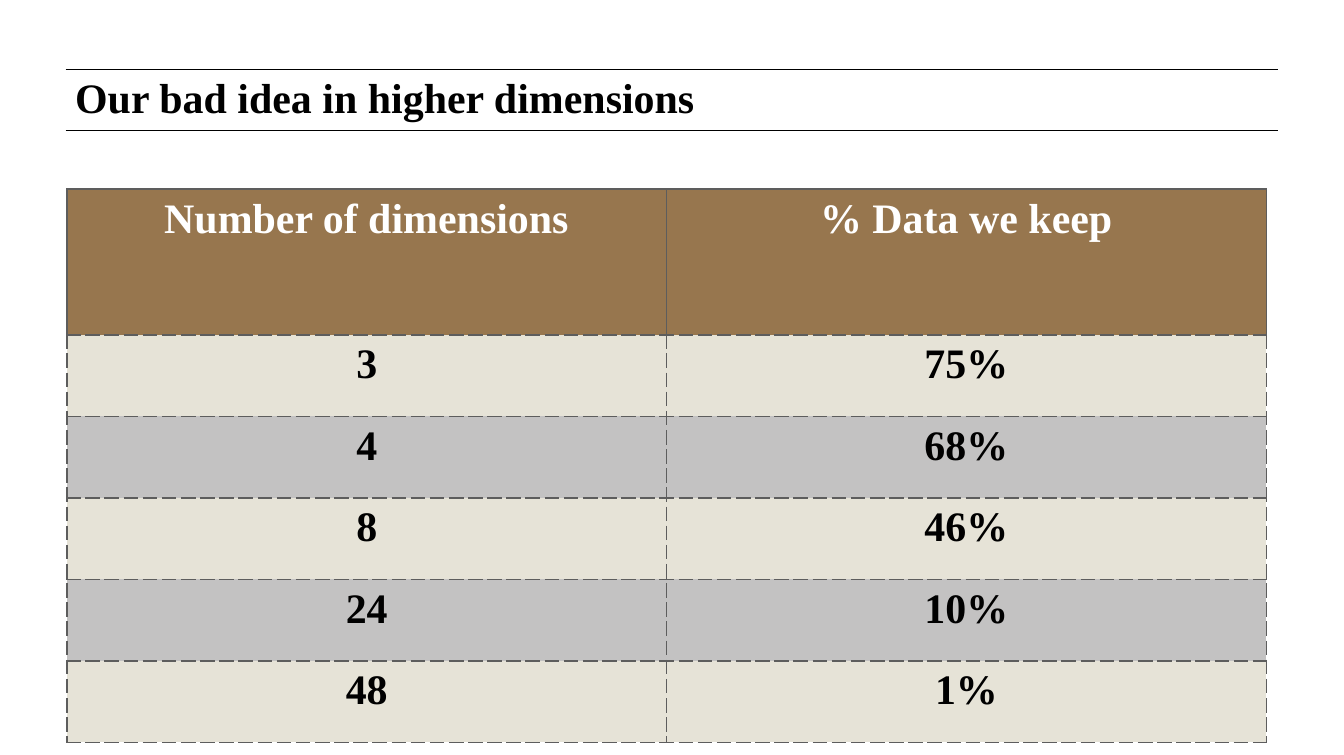
import lxml.etree
import pptx
import pptx.dml.color
import pptx.enum.shapes
import pptx.enum.text
import pptx.oxml.ns
import pptx.util

Pt = pptx.util.Pt
RGBColor = pptx.dml.color.RGBColor
qn = pptx.oxml.ns.qn

BLACK = RGBColor(0x00, 0x00, 0x00)
WHITE = RGBColor(0xFF, 0xFF, 0xFF)
BROWN = RGBColor(0x97, 0x76, 0x4E)
CREAM = RGBColor(0xE6, 0xE3, 0xD7)
GREY = RGBColor(0xC3, 0xC2, 0xC2)
BORDER = RGBColor(0x5D, 0x5D, 0x5D)
FONT = "Times New Roman"
TEXT_SIZE = 23

ROWS = [
    ("Number of dimensions", "% Data we keep"),
    ("3", "75%"),
    ("4", "68%"),
    ("8", "46%"),
    ("24", "10%"),
    ("48", "1%"),
]


def format_text(paragraph, color, alignment):
    paragraph.alignment = alignment
    for run in paragraph.runs:
        run.font.name = FONT
        run.font.size = Pt(TEXT_SIZE)
        run.font.bold = True
        run.font.color.rgb = color


def add_rule(slide, left, top, width):
    rule = slide.shapes.add_connector(
        pptx.enum.shapes.MSO_CONNECTOR.STRAIGHT,
        Pt(left), Pt(top), Pt(left + width), Pt(top))
    rule.line.color.rgb = BLACK
    rule.line.width = Pt(0.5)
    lxml.etree.SubElement(rule._element.spPr, qn("a:effectLst"))


def add_title(slide, left, top, width, height):
    for rule_top in (top, top + height):
        add_rule(slide, left, rule_top, width)
    title = slide.shapes.title
    title.left, title.top = Pt(left + 0.7), Pt(top + 1.4)
    title.width, title.height = Pt(620), Pt(37.4)
    text_frame = title.text_frame
    text_frame.text = "Our bad idea in higher dimensions"
    text_frame.word_wrap = True
    text_frame.auto_size = pptx.enum.text.MSO_AUTO_SIZE.NONE
    text_frame.vertical_anchor = pptx.enum.text.MSO_ANCHOR.TOP
    text_frame.margin_left = text_frame.margin_right = Pt(4.5)
    text_frame.margin_top = text_frame.margin_bottom = Pt(4.5)
    paragraph = text_frame.paragraphs[0]
    paragraph.line_spacing = Pt(TEXT_SIZE)
    format_text(paragraph, BLACK, pptx.enum.text.PP_ALIGN.LEFT)


def set_borders(cell, dashes):
    properties = cell._tc.get_or_add_tcPr()
    for position, (side, dash) in enumerate(dashes.items()):
        line = lxml.etree.Element(qn("a:ln" + side), w=str(Pt(1)))
        fill = lxml.etree.SubElement(line, qn("a:solidFill"))
        lxml.etree.SubElement(fill, qn("a:srgbClr"), val=str(BORDER))
        lxml.etree.SubElement(line, qn("a:prstDash"), val=dash)
        properties.insert(position, line)


def add_data_table(slide, left, top, width, header_height, row_height):
    height = header_height + row_height * (len(ROWS) - 1)
    table = slide.shapes.add_table(
        len(ROWS), len(ROWS[0]), Pt(left), Pt(top), Pt(width), Pt(height)).table
    for row_index, values in enumerate(ROWS):
        is_header = row_index == 0
        table.rows[row_index].height = Pt(header_height if is_header else row_height)
        fill_color = BROWN if is_header else (GREY, CREAM)[row_index % 2]
        side_dash = "solid" if is_header else "lgDash"
        for column_index, value in enumerate(values):
            cell = table.cell(row_index, column_index)
            cell.text_frame.text = value
            cell.fill.solid()
            cell.fill.fore_color.rgb = fill_color
            format_text(cell.text_frame.paragraphs[0],
                        WHITE if is_header else BLACK,
                        pptx.enum.text.PP_ALIGN.CENTER)
            set_borders(cell, {"L": side_dash, "R": side_dash,
                               "T": side_dash, "B": "lgDash"})


def main():
    presentation = pptx.Presentation()
    presentation.slide_width = Pt(737.28)
    presentation.slide_height = Pt(414)
    slide = presentation.slides.add_slide(presentation.slide_layouts[5])
    add_title(slide, 36, 38.2, 665.3, 33.1)
    add_data_table(slide, 36.7, 103.7, 658, 80, 44.7)
    presentation.save("out.pptx")


if __name__ == "__main__":
    main()
